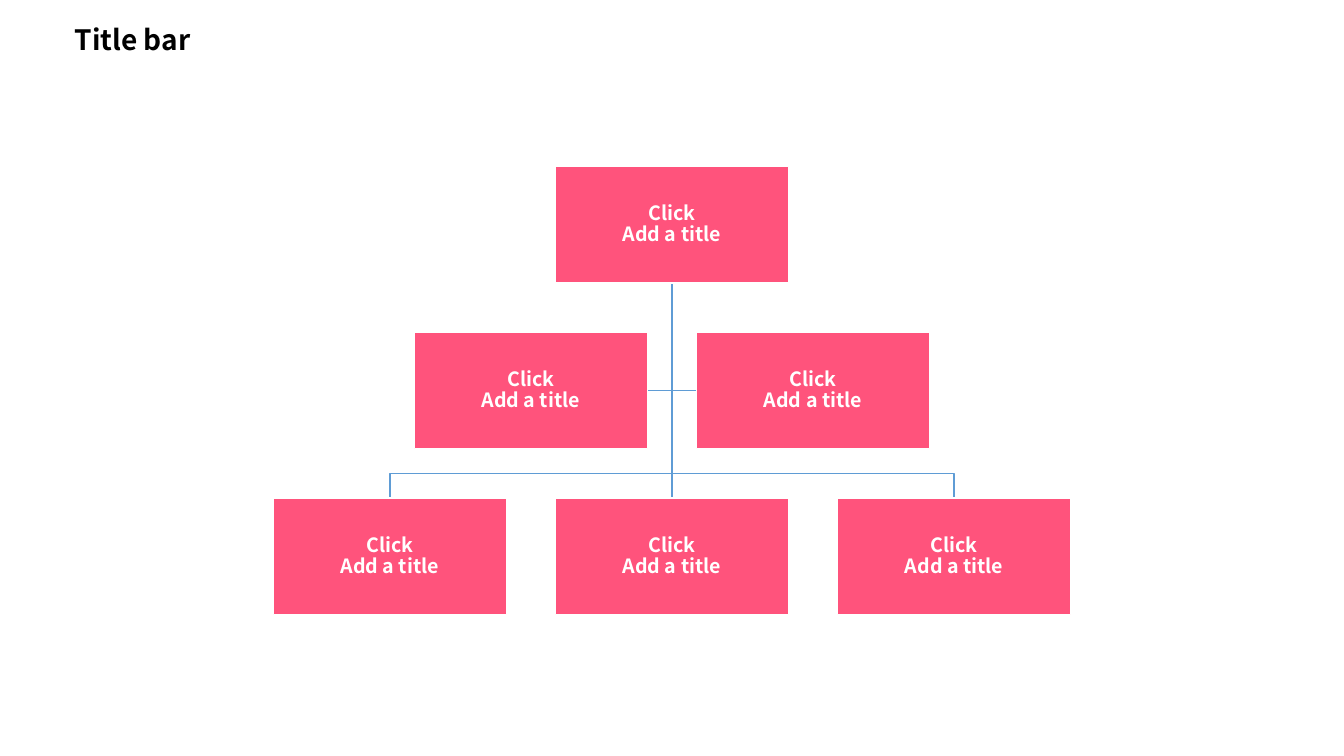
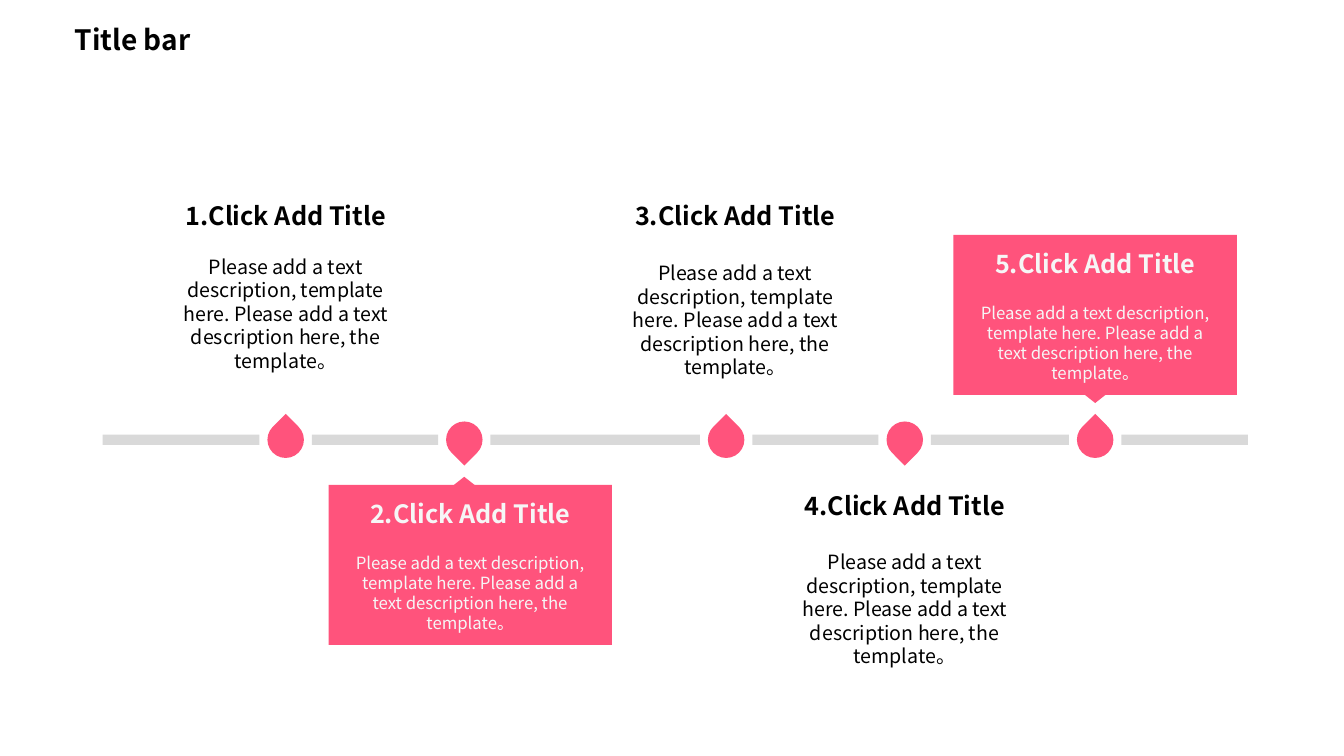
from collections import namedtuple

from lxml import etree
from pptx import Presentation
from pptx.dml.color import RGBColor
from pptx.enum import shapes, text
from pptx.oxml import ns
from pptx.util import Cm, Pt

COLORS = {
    "pink": "FF537C",
    "line": "5F9CD5",
    "bar": "D9D9D9",
    "black": "000000",
    "white": "FFFFFF",
    "pale": "F6F6F6",
}
FONT = "Noto Sans CJK SC"
DESCRIPTION = (
    "Please add a text description, template here. "
    "Please add a text description here, the template。"
)

Box = namedtuple("Box", "left top width height")
Step = namedtuple("Step", "marker center top gap is_card points_up")

TITLE_BOX = Box(1.63, 0.43, 4.85, 1.12)
CHART_BOX = Box(6.89, 4.19, 20.09, 11.3)
TIMELINE_BOX = Box(2.59, 4.93, 28.86, 11.9)

STEPS = [
    Step(4.61, 4.61, 0, 17, False, True),
    Step(9.11, 9.26, 7.29, 17, True, False),
    Step(15.71, 15.94, 0, 21.5, False, True),
    Step(20.21, 20.21, 7.29, 21.5, False, False),
    Step(25.01, 25.01, 0.99, 17, True, True),
]


def rgb(name):
    return RGBColor.from_string(COLORS[name])


def remove_shadow(connector):
    etree.SubElement(connector._element.spPr, ns.qn("a:effectLst"))


def style_paragraph(paragraph, size, color, bold=False):
    for run in paragraph.runs:
        font = run.font
        font.name = FONT
        font.size = Pt(size)
        font.bold = bold
        font.color.rgb = rgb(color)
        east_asian = etree.SubElement(run._r.get_or_add_rPr(), ns.qn("a:ea"))
        east_asian.set("typeface", FONT)


def add_filled(slide, kind, box, color, outline=None, rotation=0):
    shape = slide.shapes.add_shape(kind, *map(Cm, box))
    shape.shadow.inherit = False
    shape.rotation = rotation
    shape.fill.solid()
    shape.fill.fore_color.rgb = rgb(color)
    if outline:
        shape.line.color.rgb = rgb(outline)
        shape.line.width = Pt(1)
    else:
        shape.line.fill.background()
    return shape


def add_text(slide, box, content):
    frame = slide.shapes.add_textbox(*map(Cm, box)).text_frame
    frame.word_wrap = True
    frame.text = content
    return frame


def add_titled_slide(presentation, title):
    slide = presentation.slides.add_slide(presentation.slide_layouts[6])
    frame = add_text(slide, TITLE_BOX, title)
    style_paragraph(frame.paragraphs[0], 20, "black", bold=True)
    return slide


def add_polyline(slide, points):
    start, *rest = [(Cm(x), Cm(y)) for x, y in points]
    builder = slide.shapes.build_freeform(*start)
    builder.add_line_segments(rest, close=False)
    shape = builder.convert_to_shape()
    shape.shadow.inherit = False
    shape.fill.background()
    shape.line.color.rgb = rgb("line")
    shape.line.width = Pt(1)


def add_node(slide, box):
    shape = add_filled(slide, shapes.MSO_SHAPE.RECTANGLE, box, "pink", "white")
    frame = shape.text_frame
    frame.text = "Click\nAdd a title"
    frame.vertical_anchor = text.MSO_ANCHOR.MIDDLE
    frame.margin_left = frame.margin_right = Cm(0.03)
    frame.margin_top = frame.margin_bottom = Cm(0.03)
    for paragraph in frame.paragraphs:
        paragraph.alignment = text.PP_ALIGN.CENTER
        paragraph.line_spacing = 0.9
        style_paragraph(paragraph, 14, "white", bold=True)


def add_org_chart(slide, box, levels=3):
    node_width, node_height = 5.87, 2.94
    pitch = (box.width - node_width) / (levels - 1)
    row_step = (box.height - node_height) / (levels - 1)
    half_gap = (pitch - node_width) / 2
    center = box.left + box.width / 2
    trunk_top = box.top + node_height
    middle = box.top + row_step + node_height / 2
    last_top = box.top + row_step * (levels - 1)
    rail = last_top - half_gap

    for side in (1, -1):
        add_polyline(slide, [
            (center, trunk_top), (center, middle),
            (center + side * half_gap, middle),
        ])
        add_polyline(slide, [
            (center, trunk_top), (center, rail),
            (center + side * pitch, rail), (center + side * pitch, last_top),
        ])
    trunk = slide.shapes.add_connector(
        shapes.MSO_CONNECTOR.STRAIGHT,
        Cm(center), Cm(trunk_top), Cm(center), Cm(last_top))
    trunk.line.color.rgb = rgb("line")
    trunk.line.width = Pt(1)
    remove_shadow(trunk)

    for level in range(levels):
        first = center - level * pitch / 2 - node_width / 2
        for position in range(level + 1):
            add_node(slide, Box(first + position * pitch,
                                box.top + level * row_step,
                                node_width, node_height))


def add_bars(slide, box, axis):
    clearance, thickness = 0.66, 0.26
    starts = [0] + [step.marker + clearance for step in STEPS]
    ends = [step.marker - clearance for step in STEPS] + [box.width]
    for start, end in zip(starts, ends):
        add_filled(slide, shapes.MSO_SHAPE.RECTANGLE,
                   Box(box.left + start, axis - thickness / 2,
                       end - start, thickness), "bar")


def add_card(slide, box, marker, points_up):
    pointer_width, pointer_height = 1.04, 0.41
    edge = box.top + box.height if points_up else box.top
    add_filled(slide, shapes.MSO_SHAPE.RECTANGLE, box, "pink")
    add_filled(slide, shapes.MSO_SHAPE.ISOSCELES_TRIANGLE,
               Box(marker - pointer_width / 2, edge - pointer_height / 2,
                   pointer_width, pointer_height),
               "pink", rotation=180 if points_up else 0)


def add_step(slide, box, axis, number, step):
    drop, text_width, card_width, card_height = 0.92, 6.68, 7.14, 4.03
    marker = box.left + step.marker
    center = box.left + step.center
    top = box.top + step.top
    add_filled(slide, shapes.MSO_SHAPE.TEAR,
               Box(marker - drop / 2, axis - drop / 2, drop, drop),
               "pink", rotation=315 if step.points_up else 135)
    if step.is_card:
        add_card(slide, Box(center - card_width / 2, top,
                            card_width, card_height), marker, step.points_up)
        top += 0.22
    frame = add_text(slide, Box(center - text_width / 2, top, text_width, 4),
                     f"{number}.Click Add Title\n{DESCRIPTION}")
    heading, description = frame.paragraphs
    color = "pale" if step.is_card else "black"
    style_paragraph(heading, 18, color, bold=True)
    style_paragraph(description, 12 if step.is_card else 14, color)
    description.space_before = Pt(step.gap)
    for paragraph in frame.paragraphs:
        paragraph.alignment = text.PP_ALIGN.CENTER


def add_timeline(slide, box):
    axis = box.top + 6.15
    add_bars(slide, box, axis)
    for number, step in enumerate(STEPS, start=1):
        add_step(slide, box, axis, number, step)


def main():
    presentation = Presentation()
    presentation.slide_width = Cm(33.87)
    presentation.slide_height = Cm(19.05)
    add_org_chart(add_titled_slide(presentation, "Title bar"), CHART_BOX)
    add_timeline(add_titled_slide(presentation, "Title bar"), TIMELINE_BOX)
    presentation.save("out.pptx")


if __name__ == "__main__":
    main()
